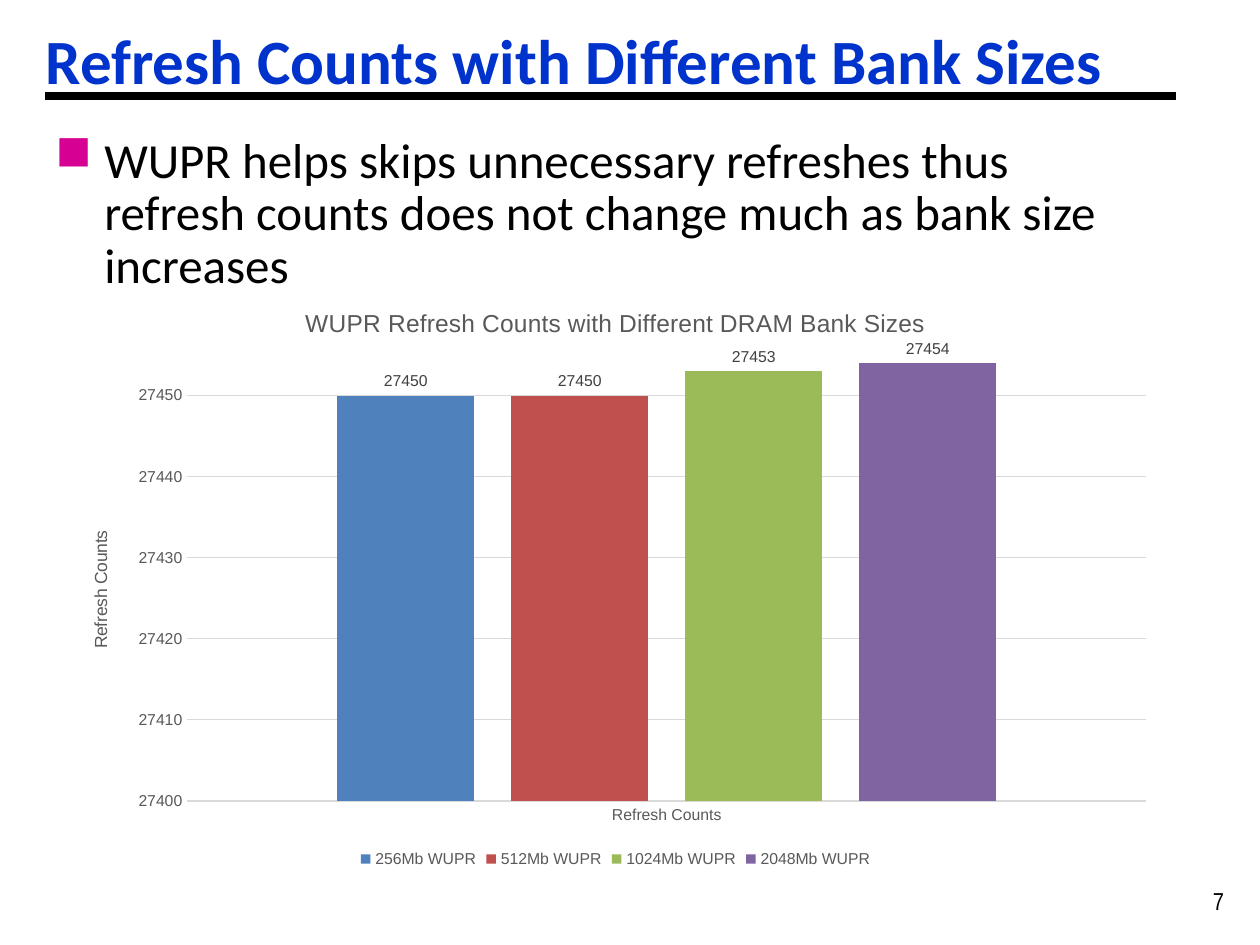
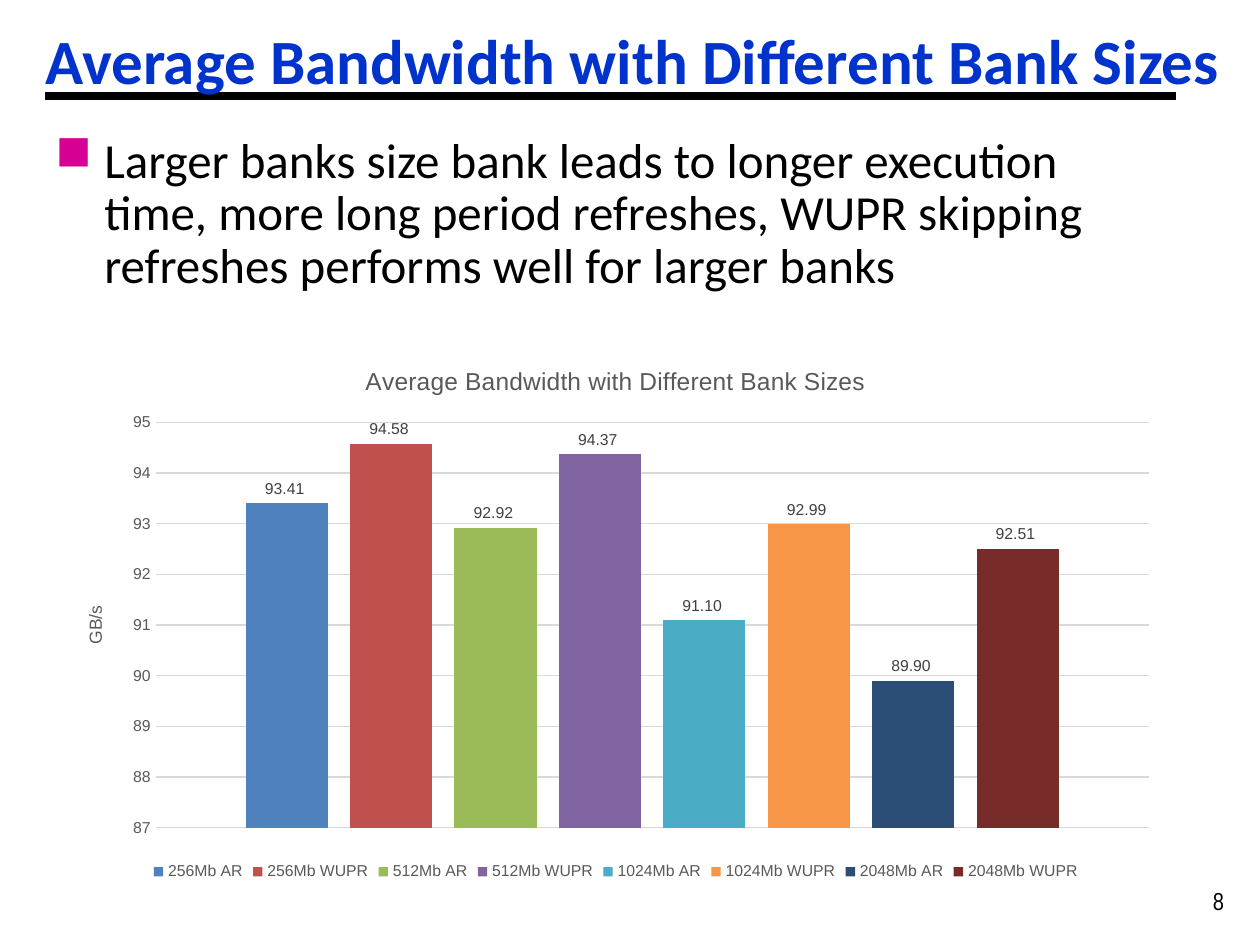
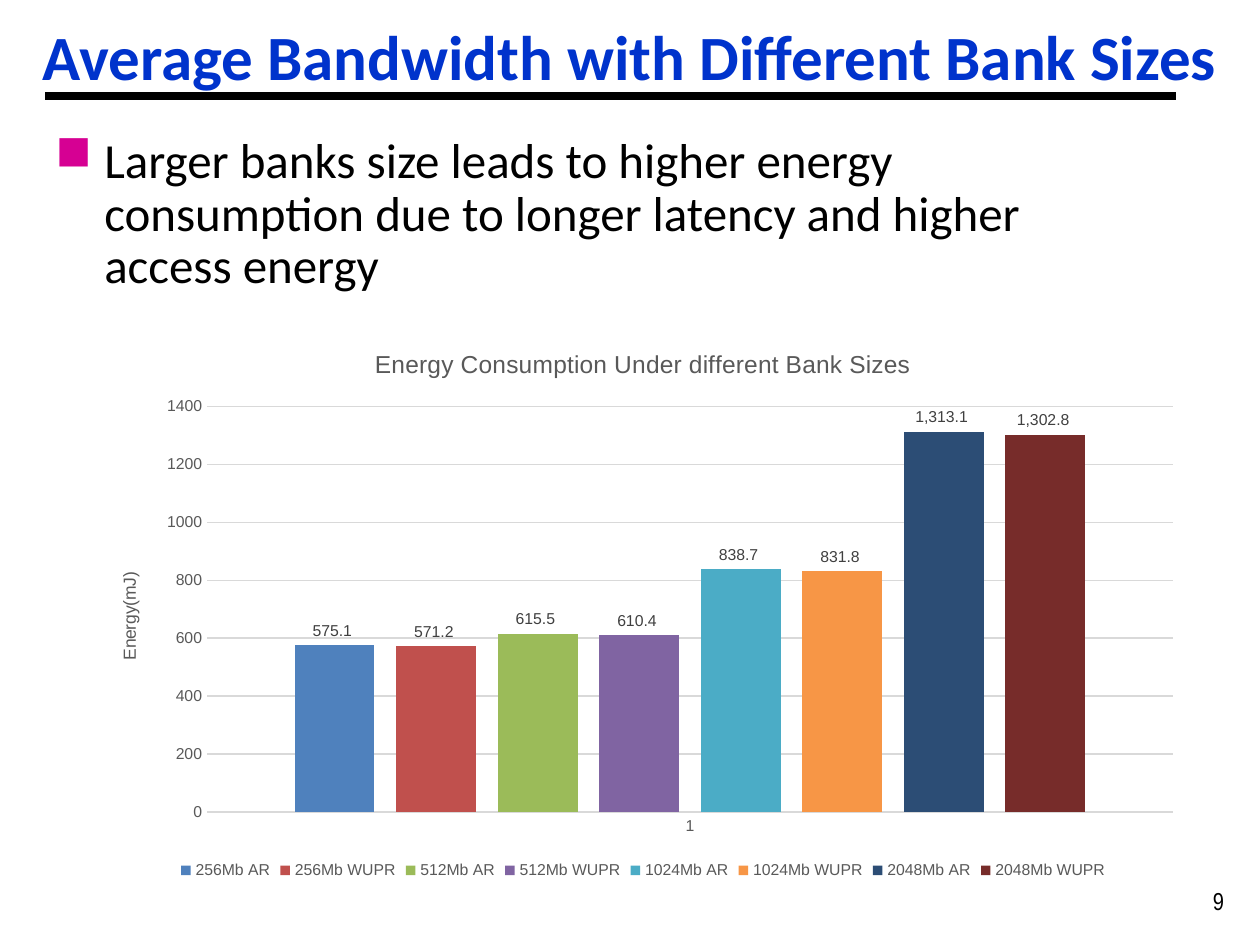
from lxml.etree import SubElement
from pptx import Presentation
from pptx.chart.data import CategoryChartData
from pptx.dml.color import RGBColor
from pptx.enum.chart import XL_CHART_TYPE, XL_LABEL_POSITION, XL_LEGEND_POSITION, XL_TICK_MARK
from pptx.enum.shapes import MSO_CONNECTOR
from pptx.enum.text import MSO_ANCHOR
from pptx.oxml import parse_xml
from pptx.oxml.ns import nsdecls, qn
from pptx.util import Pt

COLORS = {
    "title": "0033CC", "text": "000000", "bullet": "D60093",
    "axis": "595959", "label": "404040", "grid": "D9D9D9",
}
BAR_COLORS = ["4F81BD", "C0504D", "9BBB59", "8064A2",
              "4BACC6", "F79646", "2C4D75", "772C2A"]
BANK_SIZES = ["256Mb", "512Mb", "1024Mb", "2048Mb"]
WUPR_NAMES = [f"{size} WUPR" for size in BANK_SIZES]
AR_WUPR_NAMES = [f"{size} {scheme}" for size in BANK_SIZES for scheme in ("AR", "WUPR")]


def rgb(name):
    return RGBColor.from_string(COLORS[name])


class Deck:
    """Holds the presentation, its style and the current slide."""
    body_font, chart_font, number_font = "Calibri", "Arial", "Arial Narrow"

    def __init__(self):
        self.prs = Presentation()
        self.prs.slide_width, self.prs.slide_height = Pt(720), Pt(540)

    def slide(self, title, number, title_box=(26, 8, 694, 51)):
        self.s = self.prs.slides.add_slide(self.prs.slide_layouts[6])
        self.text(str(number), (686, 502.5, 34, 24), 14, "text", self.number_font)
        self.rule(26, 672, 54.7)
        tf = self.text(title, title_box, 36, "title", self.body_font, bold=True)
        tf.margin_left = 0
        tf.vertical_anchor = MSO_ANCHOR.BOTTOM

    def text(self, text, box, size, color, font, bold=False):
        tf = self.s.shapes.add_textbox(*map(Pt, box)).text_frame
        tf.word_wrap = True
        r = tf.paragraphs[0].add_run()
        r.text = text
        self.style(r.font, size, color, font, bold)
        return tf

    def style(self, font, size, color, name=chart_font, bold=False):
        font.size, font.name, font.bold = Pt(size), name, bold
        font.color.rgb = rgb(color)

    def rule(self, left, right, y):
        line = self.s.shapes.add_connector(
            MSO_CONNECTOR.STRAIGHT, Pt(left), Pt(y), Pt(right), Pt(y))
        line.line.width = Pt(4.5)
        line.line.color.rgb = rgb("text")
        SubElement(line.element.spPr, qn("a:effectLst"))

    def bullet(self, text, height):
        tf = self.text(text, (24.5, 74, 643.5, height), 28, "text", self.body_font)
        p = tf.paragraphs[0]
        p.line_spacing = 0.9
        pPr = p._p.get_or_add_pPr()
        pPr.set("marL", str(Pt(28)))
        pPr.set("indent", str(Pt(-28)))
        color = SubElement(pPr, qn("a:buClr"))
        SubElement(color, qn("a:srgbClr"), val=COLORS["bullet"])
        SubElement(pPr, qn("a:buChar"), char="■")

    def chart(self, title, unit, category, names, values, box, plot, scale,
              label_format="General", show_category=True):
        """Column chart; plot is the inner plot box on the slide, scale is (min, max, step)."""
        data = CategoryChartData()
        data.categories = [category]
        for name, value in zip(names, values):
            data.add_series(name, [value])
        chart = self.s.shapes.add_chart(
            XL_CHART_TYPE.COLUMN_CLUSTERED, *map(Pt, box), data).chart
        self.style(chart.font, 10, "text")
        self.heading(chart, title, 14)
        chart.has_legend = True
        chart.legend.position = XL_LEGEND_POSITION.BOTTOM
        chart.legend.include_in_layout = False
        self.style(chart.legend.font, 9, "axis")
        self.value_axis(chart.value_axis, unit, scale)
        self.category_axis(chart.category_axis, show_category)
        self.bars(chart.plots[0], label_format)
        self.place_plot(chart, box, plot)

    def heading(self, owner, text, size):
        owner.has_title = True
        p = owner.chart_title if hasattr(owner, "chart_title") else owner.axis_title
        r = p.text_frame.paragraphs[0].add_run()
        r.text = text
        self.style(r.font, size, "axis")

    def value_axis(self, axis, unit, scale):
        self.heading(axis, unit, 10)
        axis.minimum_scale, axis.maximum_scale, axis.major_unit = scale
        axis.major_tick_mark = XL_TICK_MARK.NONE
        axis.format.line.fill.background()
        axis.major_gridlines.format.line.color.rgb = rgb("grid")
        axis.major_gridlines.format.line.width = Pt(0.75)
        self.style(axis.tick_labels.font, 9, "axis")

    def category_axis(self, axis, visible):
        axis.visible = visible
        axis.major_tick_mark = XL_TICK_MARK.NONE
        axis.format.line.color.rgb = rgb("grid")
        axis.format.line.width = Pt(0.75)
        self.style(axis.tick_labels.font, 9, "axis")

    def bars(self, plot, label_format):
        plot.gap_width, plot.overlap, plot.vary_by_categories = 219, -27, False
        for series, color in zip(plot.series, BAR_COLORS):
            series.format.fill.solid()
            series.format.fill.fore_color.rgb = RGBColor.from_string(color)
            labels = series.data_labels
            labels.show_value = True
            labels.position = XL_LABEL_POSITION.OUTSIDE_END
            labels.number_format = label_format
            labels.number_format_is_linked = False
            self.style(labels.font, 9, "label")

    def place_plot(self, chart, box, plot):
        area = chart.element.find(".//" + qn("c:plotArea"))
        for old in area.findall(qn("c:layout")):
            area.remove(old)
        layout = parse_xml(f"<c:layout {nsdecls('c')}/>")
        area.insert(0, layout)
        manual = SubElement(layout, qn("c:manualLayout"))
        left, top, width, height = box
        x, y, w, h = plot
        settings = {
            "layoutTarget": "inner", "xMode": "edge", "yMode": "edge",
            "x": (x - left) / width, "y": (y - top) / height,
            "w": w / width, "h": h / height,
        }
        for tag, value in settings.items():
            SubElement(manual, qn(f"c:{tag}"), val=str(value))


def main():
    deck = Deck()

    deck.slide("Refresh Counts with Different Bank Sizes", 7)
    deck.bullet("WUPR helps skips unnecessary refreshes thus refresh counts "
                "does not change much as bank size increases", 88.5)
    deck.chart("WUPR Refresh Counts with Different DRAM Bank Sizes", "Refresh Counts",
               "Refresh Counts", WUPR_NAMES, [27450, 27450, 27453, 27454],
               box=(36, 162.7, 631.5, 336.3), plot=(107, 203, 548, 254.7),
               scale=(27400, 27455, 10))

    deck.slide("Average Bandwidth with Different Bank Sizes", 8)
    deck.bullet("Larger banks size bank leads to longer execution time, more long period "
                "refreshes, WUPR skipping refreshes performs well for larger banks", 100)
    deck.chart("Average Bandwidth with Different Bank Sizes", "GB/s", "1", AR_WUPR_NAMES,
               [93.41, 94.58, 92.92, 94.37, 91.1, 92.99, 89.9, 92.51],
               box=(34, 196, 635.7, 310.3), plot=(89, 241.4, 567.5, 231.7),
               scale=(87, 95, 1), label_format=r"#,##0.00_);[Red]\(#,##0.00\)",
               show_category=False)

    deck.slide("Average Bandwidth with Different Bank Sizes", 9, (24.5, 5.8, 694, 51))
    deck.bullet("Larger banks size leads to higher energy consumption due to longer "
                "latency and higher access energy", 94.3)
    deck.chart("Energy Consumption Under different Bank Sizes", "Energy(mJ)", "1", AR_WUPR_NAMES,
               [575.1, 571.2, 615.5, 610.4, 838.7, 831.8, 1313.1, 1302.8],
               box=(52.5, 186.5, 630, 319), plot=(118.3, 232.3, 552, 231.7),
               scale=(0, 1400, 200), label_format=r"#,##0.0_);[Red]\(#,##0.0\)")

    deck.prs.save("out.pptx")


if __name__ == "__main__":
    main()
